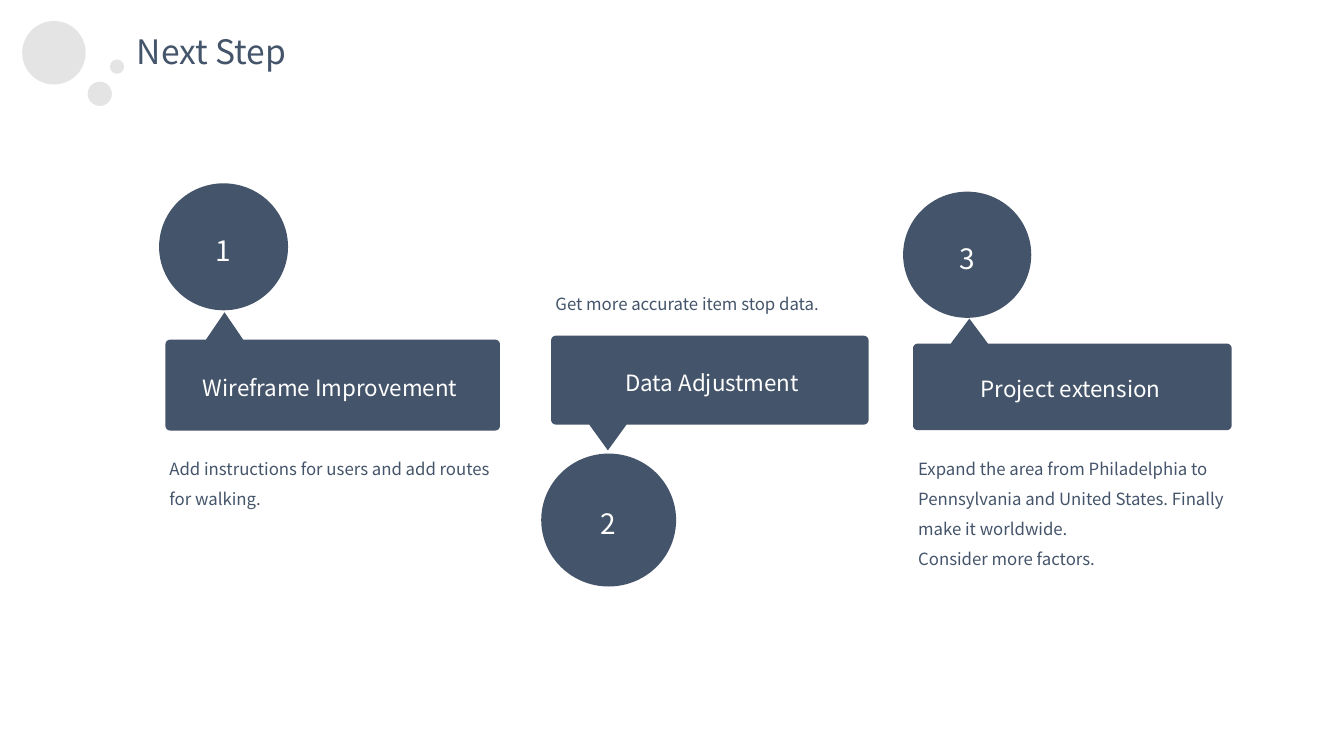
from math import cos, radians, sin

from lxml import etree
from pptx import Presentation
from pptx.dml.color import RGBColor
from pptx.enum import shapes as kinds, text as modes
from pptx.oxml.ns import qn
from pptx.util import Cm, Pt

NAVY = RGBColor(0x44, 0x54, 0x6A)
GREY = RGBColor(0xD9, 0xD9, 0xD9)
WHITE = RGBColor(0xFF, 0xFF, 0xFF)
FONT = "Noto Sans CJK SC"
ROUND = 0.12
LEFT, CENTER = modes.PP_ALIGN.LEFT, modes.PP_ALIGN.CENTER

DOTS = [(0.56, 0.53, 1.6), (2.21, 2.06, 0.61), (2.77, 1.5, 0.36)]

# Boxes are left, top, width, height in centimetres; tips are x, y.
STEPS = [
    dict(box=(4.17, 8.56, 8.43, 2.29), tip=(5.66, 7.87),
         disc=(4.01, 4.62, 3.25, 3.2),
         name="Wireframe Improvement", label=(4.88, 9.43, 6.88, 0.69),
         lines=["Add instructions for users and add routes for walking."],
         note=(4.27, 11.3, 8.15, 1.45)),
    dict(box=(13.89, 8.46, 8.0, 2.24), tip=(15.32, 11.35),
         disc=(13.64, 11.43, 3.4, 3.35),
         name="Data Adjustment", label=(13.82, 9.3, 8.26, 0.69),
         lines=["Get more accurate item stop data."],
         note=(14.0, 7.14, 8.08, 0.69)),
    dict(box=(23.01, 8.66, 8.03, 2.18), tip=(24.43, 8.03),
         disc=(22.76, 4.83, 3.23, 3.18),
         name="Project extension", label=(24.21, 9.45, 5.54, 0.69),
         lines=["Expand the area from Philadelphia to Pennsylvania and "
                "United States. Finally make it worldwide.",
                "Consider more factors."],
         note=(23.14, 11.3, 7.72, 3.0)),
]


def cms(values):
    return [Cm(v) for v in values]


def paint(shape, color):
    shape.shadow.inherit = False
    shape.fill.solid()
    shape.fill.fore_color.rgb = color
    shape.line.fill.background()


def write(frame, lines, size, color, align=CENTER, space=1.0, inset=0.0):
    frame.word_wrap = True
    frame.margin_left = frame.margin_right = Cm(inset)
    frame.margin_top = frame.margin_bottom = Cm(inset)
    frame.text = "\n".join(lines)
    for para in frame.paragraphs:
        para.alignment = align
        para.line_spacing = space
        para.font.size = Pt(size)
        para.font.name = FONT
        para.font.color.rgb = color


def add_title(slide, words):
    title = slide.shapes.title
    title.left, title.top, title.width, title.height = cms((3.2, 0.66, 4.52, 1.27))
    frame = title.text_frame
    write(frame, [words], 24, NAVY, LEFT)
    frame.margin_left, frame.margin_top = Cm(0.25), Cm(0.13)
    frame.word_wrap = False
    frame.auto_size = modes.MSO_AUTO_SIZE.NONE
    frame.vertical_anchor = modes.MSO_ANCHOR.TOP


def add_disc(slide, box, color):
    disc = slide.shapes.add_shape(kinds.MSO_SHAPE.OVAL, *cms(box))
    paint(disc, color)
    return disc


def add_dot(slide, left, top, size):
    """Draw a grey dot at 70 % opacity."""
    dot = add_disc(slide, (left, top, size, size), GREY)
    color = dot.element.find(".//" + qn("a:srgbClr"))
    etree.SubElement(color, qn("a:alpha"), val="70000")


def corner(x, y, start):
    """Return the points of a quarter arc around x, y."""
    angles = [radians(start + 15 * i) for i in range(7)]
    return [(x + ROUND * cos(a), y + ROUND * sin(a)) for a in angles]


def add_callout(slide, box, tip):
    """Draw a rounded box whose pointer leaves the edge nearest the tip."""
    left, top, width, height = box
    x1, x2 = left + ROUND, left + width - ROUND
    y1, y2 = top + ROUND, top + height - ROUND
    x, y = tip
    half = 0.47
    if y < top:
        above, below = [(x - half, top), tip, (x + half, top)], []
    else:
        base = top + height
        above, below = [], [(x + half, base), tip, (x - half, base)]
    points = (corner(x1, y1, 180) + above + corner(x2, y1, 270)
              + corner(x2, y2, 0) + below + corner(x1, y2, 90))
    points = [cms(p) for p in points]
    pen = slide.shapes.build_freeform(*points[0])
    pen.add_line_segments(points[1:], close=True)
    paint(pen.convert_to_shape(), NAVY)


def add_text(slide, box, lines, *style):
    frame = slide.shapes.add_textbox(*cms(box)).text_frame
    write(frame, lines, *style)


def add_step(slide, number, step):
    add_callout(slide, step["box"], step["tip"])
    disc = add_disc(slide, step["disc"], NAVY)
    write(disc.text_frame, [str(number)], 20, WHITE, CENTER, 1.2, 0.08)
    disc.text_frame.vertical_anchor = modes.MSO_ANCHOR.MIDDLE
    add_text(slide, step["label"], [step["name"]], 16, WHITE)
    add_text(slide, step["note"], step["lines"], 12, NAVY, LEFT, 1.5)


def main():
    deck = Presentation()
    deck.slide_width, deck.slide_height = Cm(33.87), Cm(19.05)
    slide = deck.slides.add_slide(deck.slide_layouts[5])
    for dot in DOTS:
        add_dot(slide, *dot)
    add_title(slide, "Next Step")
    for number, step in enumerate(STEPS, 1):
        add_step(slide, number, step)
    deck.save("out.pptx")


if __name__ == "__main__":
    main()
